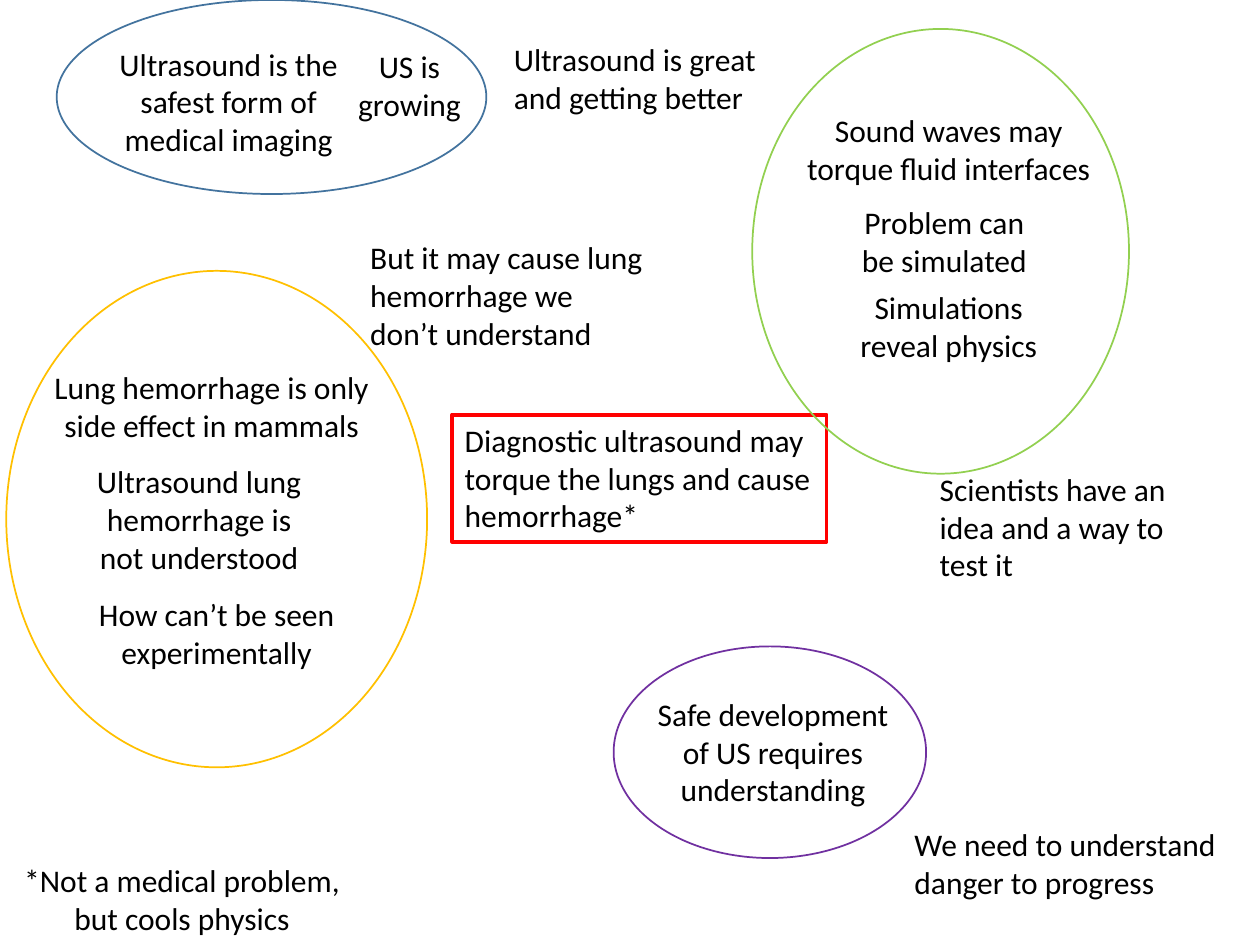
from pptx import Presentation
from pptx.dml.color import RGBColor
from pptx.enum.shapes import MSO_SHAPE as Preset
from pptx.enum.text import MSO_ANCHOR as Anchor, MSO_AUTO_SIZE as AutoSize, PP_ALIGN as Align
from pptx.util import Inches, Pt

presentation = Presentation()
presentation.slide_width, presentation.slide_height = Inches(10), Inches(7.5)
slide = presentation.slides.add_slide(presentation.slide_layouts[6])

# The grid has ten columns; its cells are square
CELL = presentation.slide_width / 10


def add_block(shapes, place, text="", preset=None, line=None, width=1,
              align=Align.LEFT, anchor=Anchor.TOP, grow=False):
    """Add a text box, or a preset shape, at left, top, width, height in cells."""
    box = [round(value * CELL) for value in place]
    if preset is None:
        shape = shapes.add_textbox(*box)
    else:
        shape = shapes.add_shape(preset, *box)
        shape.shadow.inherit = False
        shape.fill.background()
        if line:
            shape.line.color.rgb = RGBColor.from_string(line)
            shape.line.width = Pt(width)
        else:
            shape.line.fill.background()
    if text:
        frame = shape.text_frame
        frame.word_wrap = True
        frame.vertical_anchor = anchor
        if grow:
            frame.auto_size = AutoSize.SHAPE_TO_FIT_TEXT
        paragraph = frame.paragraphs[0]
        paragraph.alignment = align
        run = paragraph.add_run()
        run.text = text
        run.font.size = Pt(18)
        run.font.name = "Calibri"
        run.font.color.rgb = RGBColor.from_string("000000")


# Central message
add_block(slide.shapes, (3.59, 3.29, 2.97, 1.01),
          "Diagnostic ultrasound may torque the lungs and cause hemorrhage*",
          preset=Preset.RECTANGLE, line="FF0000", width=2.25, grow=True)

# Idea clusters: outline colour, outline place, ideas inside, grouped or loose
clusters = [
    ("FFC000", (0.05, 2.15, 3.34, 3.94), [
        ((-0.29, 2.79, 3.94, 0.86), "Lung hemorrhage is only side effect in mammals"),
        ((0.24, 3.53, 2.68, 1.18), "Ultrasound lung hemorrhage is not understood"),
        ((0.05, 4.5, 3.34, 1.05), "How can’t be seen experimentally"),
        ((-0.58, 6.61, 4.05, 1.05), "*Not a medical problem, but cools physics"),
    ], False),
    ("43739E", (0.45, 0, 3.41, 1.54), [
        ((0.38, 0.27, 2.87, 1.07), "Ultrasound is the safest form of medical imaging"),
        ((2.26, 0.36, 1.98, 0.63), "US is growing"),
    ], True),
    ("92D050", (5.97, 0.23, 2.99, 3.53), [
        ((5.78, 0.8, 3.5, 0.76), "Sound waves may torque fluid interfaces"),
        ((6.4, 1.37, 2.19, 1.09), "Problem can be simulated"),
        ((6.36, 2.24, 2.34, 0.69), "Simulations reveal physics"),
    ], True),
    ("7030A0", (4.87, 5.13, 2.48, 1.68), [
        ((4.69, 5.44, 2.89, 1.05), "Safe development of US requires understanding"),
    ], True),
]
for color, outline, ideas, grouped in clusters:
    shapes = slide.shapes.add_group_shape().shapes if grouped else slide.shapes
    for place, text in ideas:
        add_block(shapes, place, text, preset=Preset.OVAL,
                  align=Align.CENTER, anchor=Anchor.MIDDLE)
    add_block(shapes, outline, preset=Preset.OVAL, line=color)

# Summary beside each cluster
summaries = [
    ((3.98, 0.27, 2.37, 0.71), "Ultrasound is great and getting better"),
    ((2.84, 1.84, 2.37, 1.01), "But it may cause lung hemorrhage we don’t understand"),
    ((7.16, 6.5, 2.73, 0.71), "We need to understand danger to progress"),
    ((7.36, 3.68, 2.37, 1.01), "Scientists have an idea and a way to test it"),
]
for place, text in summaries:
    add_block(slide.shapes, place, text, grow=True)

presentation.save("out.pptx")
